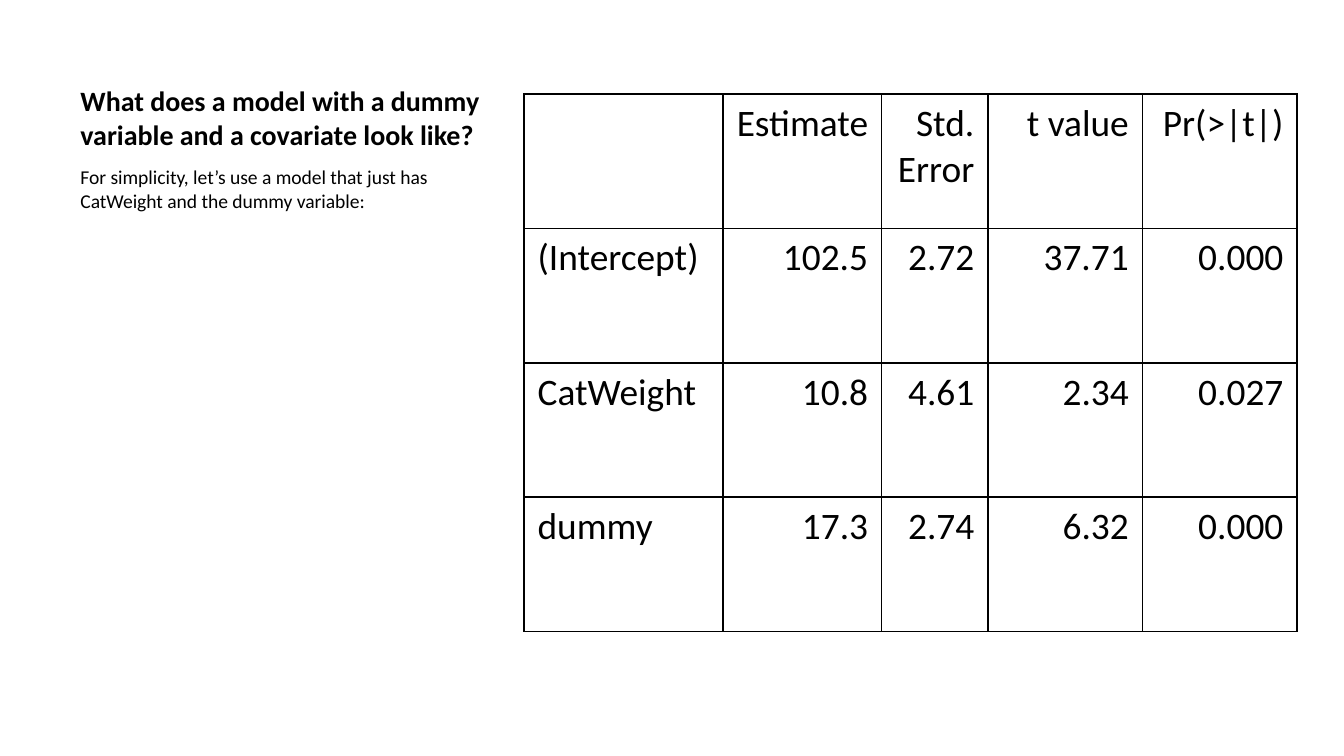
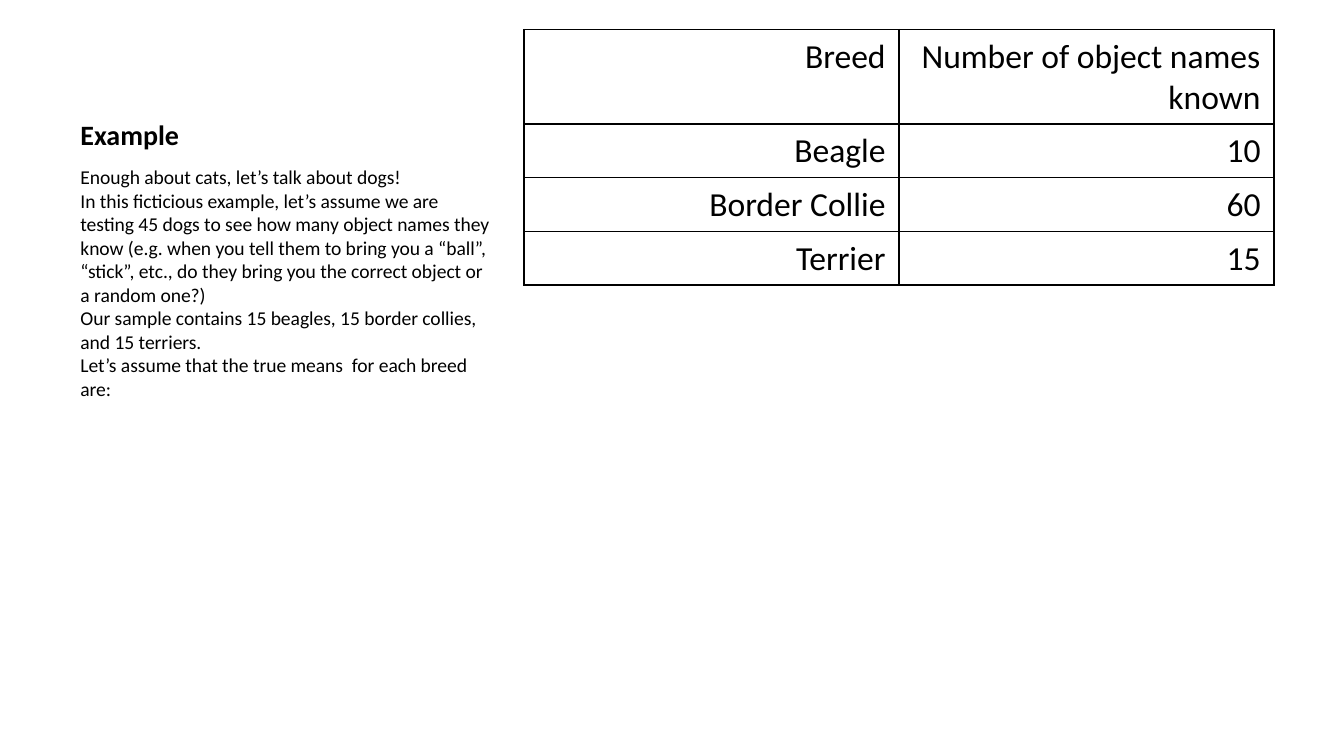
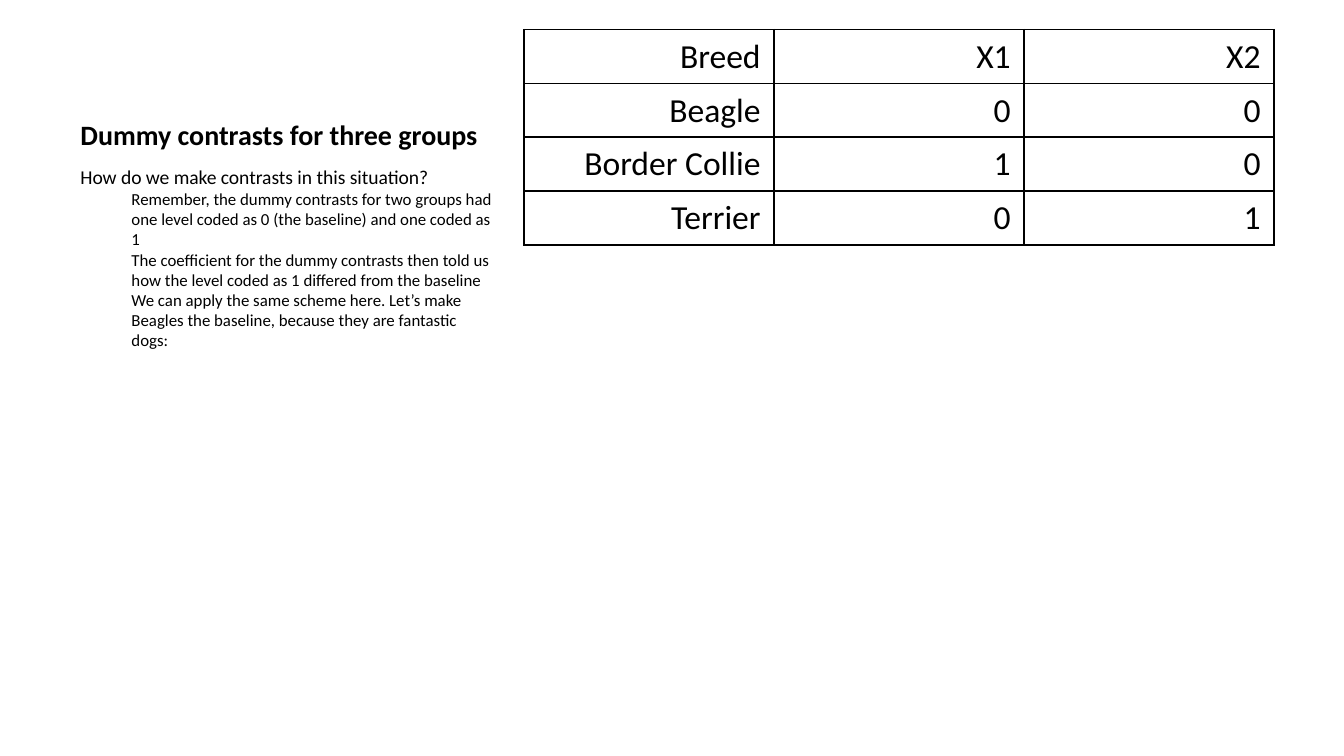
from lxml import etree
from pptx import Presentation
from pptx.dml.color import RGBColor
from pptx.enum import text
from pptx.oxml import ns
from pptx.util import Inches, Pt

BLACK = RGBColor(0, 0, 0)
WHITE = RGBColor(255, 255, 255)
FONT = "Calibri"
LEFT, RIGHT = text.PP_ALIGN.LEFT, text.PP_ALIGN.RIGHT
TITLE = (0.5, 0.22, 3.29, 0.95)
BODY = (0.5, 1.18, 3.29, 3.85)
SIDE = (3.9, 0.22, 5.58, 4.79)


def style(para, size, bold=False):
    """Give every run of a paragraph the shared font."""
    for run in para.runs:
        run.font.name = FONT
        run.font.size = Pt(size)
        run.font.bold = bold
        run.font.color.rgb = BLACK


def frame(slide, box):
    """Add a wrapping text box and return its text frame."""
    area = slide.shapes.add_textbox(*map(Inches, box)).text_frame
    area.word_wrap = True
    return area


def title(slide, words, box=TITLE):
    """Add the bold title, resting on the bottom of its box."""
    area = frame(slide, box)
    area.vertical_anchor = text.MSO_ANCHOR.BOTTOM
    area.text = words
    style(area.paragraphs[0], 15, True)


def body(slide, lines, notes=(), box=BODY):
    """Add the body lines, then the smaller indented notes."""
    area = frame(slide, box)
    area.text = "\n".join([*lines, *notes])
    for i, para in enumerate(area.paragraphs):
        nested = i >= len(lines)
        style(para, 9 if nested else 10.5)
        if nested:
            para.level = 1
            props = para._p.get_or_add_pPr()
            props.set("marL", str(Inches(0.38)))
            props.set("indent", "0")


def border(cell):
    """Draw a thin black line on each side of a cell."""
    props = cell._tc.get_or_add_tcPr()
    for side in ("lnL", "lnR", "lnT", "lnB"):
        line = etree.SubElement(props, ns.qn("a:" + side), w=str(Pt(1)))
        fill = etree.SubElement(line, ns.qn("a:solidFill"))
        etree.SubElement(fill, ns.qn("a:srgbClr"), val=str(BLACK))


def grid(slide, rows, box=SIDE, size=18, tall=0.15, wide=None, first=RIGHT):
    """Add a ruled table, its columns equal unless widths are given."""
    holder = slide.shapes.add_table(len(rows), len(rows[0]), *map(Inches, box))
    table = holder.table
    table.first_row = table.horz_banding = False
    for col, width in zip(table.columns, wide or ()):
        col.width = Inches(width)
    for row, values in zip(table.rows, rows):
        row.height = Inches(tall)
        for i, (cell, value) in enumerate(zip(row.cells, values)):
            border(cell)
            cell.fill.background()
            cell.text = value
            para = cell.text_frame.paragraphs[0]
            para.alignment = RIGHT if i else first
            style(para, size)
    holder.height = Inches(box[3])


def page(deck, words):
    """Add a white slide with its title."""
    slide = deck.slides.add_slide(deck.slide_layouts[6])
    slide.background.fill.solid()
    slide.background.fill.fore_color.rgb = WHITE
    title(slide, words)
    return slide


def model(deck):
    """Show the coefficients of the model."""
    slide = page(deck, "What does a model with a dummy variable and a covariate look like?")
    body(slide, ["For simplicity, let’s use a model that just has CatWeight and the dummy variable:"])
    grid(slide, [
        ("", "Estimate", "Std. Error", "t value", "Pr(>|t|)"),
        ("(Intercept)", "102.5", "2.72", "37.71", "0.000"),
        ("CatWeight", "10.8", "4.61", "2.34", "0.027"),
        ("dummy", "17.3", "2.74", "6.32", "0.000"),
    ], (3.9, 0.7, 5.75, 3.99), 20, 1, (1.48, 1.18, 0.79, 1.15, 1.15), LEFT)


def dogs(deck):
    """Show the true mean of each breed."""
    slide = page(deck, "Example")
    body(slide, [
        "Enough about cats, let’s talk about dogs!",
        "In this ficticious example, let’s assume we are testing 45 dogs to see how many "
        "object names they know (e.g. when you tell them to bring you a “ball”, “stick”, "
        "etc., do they bring you the correct object or a random one?)",
        "Our sample contains 15 beagles, 15 border collies, and 15 terriers.",
        "Let’s assume that the true means  for each breed are:",
    ])
    grid(slide, [
        ("Breed", "Number of object names known"),
        ("Beagle", "10"),
        ("Border Collie", "60"),
        ("Terrier", "15"),
    ])


def codes(deck):
    """Show the dummy codes of each breed."""
    slide = page(deck, "Dummy contrasts for three groups")
    body(slide, ["How do we make contrasts in this situation?"], [
        "Remember, the dummy contrasts for two groups had one level coded as 0 "
        "(the baseline) and one coded as 1",
        "The coefficient for the dummy contrasts then told us how the level coded "
        "as 1 differed from the baseline",
        "We can apply the same scheme here. Let’s make Beagles the baseline, "
        "because they are fantastic dogs:",
    ])
    grid(slide, [
        ("Breed", "X1", "X2"),
        ("Beagle", "0", "0"),
        ("Border Collie", "1", "0"),
        ("Terrier", "0", "1"),
    ])


def main():
    """Build the deck and save it."""
    deck = Presentation()
    deck.slide_width = Inches(10)
    deck.slide_height = deck.slide_width * 9 // 16
    for build in (model, dogs, codes):
        build(deck)
    deck.save("out.pptx")


if __name__ == "__main__":
    main()
